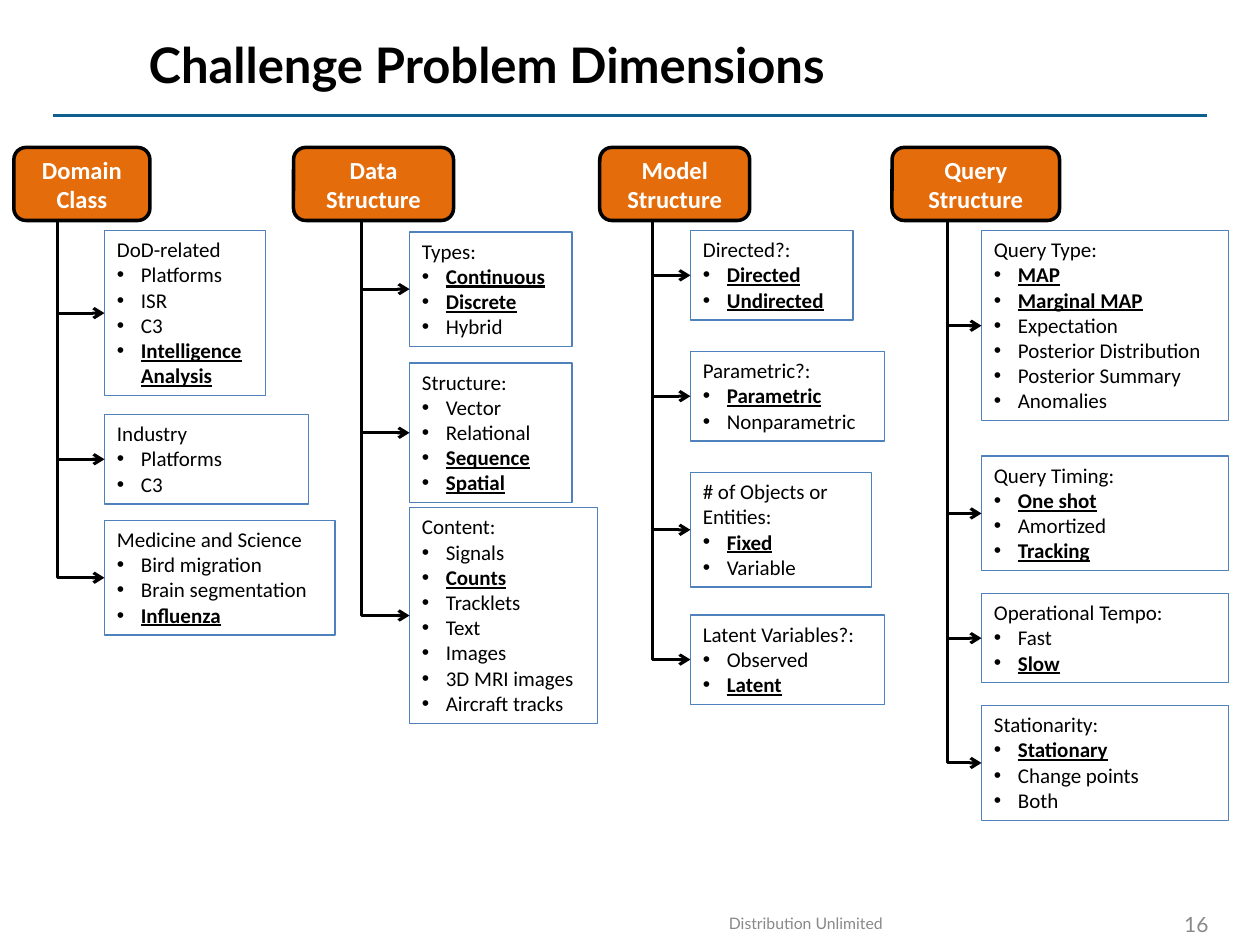
from lxml import etree
from pptx import Presentation
from pptx.dml.color import RGBColor
from pptx.enum import shapes, text
from pptx.oxml.ns import qn
from pptx.util import Inches, Pt

THEME = {
    "heading_font": "Lato", "body_font": "Calibri",
    "title_size": 28, "header_size": 14, "body_size": 12, "footer_size": 9,
    "black": "000000", "white": "FFFFFF", "grey": "898989",
    "orange": "E46C0A", "panel_line": "4F81BD", "rule": "0F5E90",
    "header_width": 2, "panel_width": 0.75, "line_width": 1.75,
}
TITLE = "Challenge Problem Dimensions"
FOOTERS = [
    ("Distribution Unlimited", (4.25, 7.16, 4.29, 0.33), THEME["footer_size"], text.PP_ALIGN.CENTER),
    ("16", (8.86, 7.17, 0.83, 0.32), THEME["body_size"], text.PP_ALIGN.RIGHT),
]
HIGHLIGHTED = {
    "Intelligence Analysis", "Influenza", "Continuous", "Discrete", "Sequence",
    "Spatial", "Counts", "Directed", "Undirected", "Parametric", "Fixed", "Latent",
    "MAP", "Marginal MAP", "One shot", "Tracking", "Slow", "Stationary",
}
# Each panel: heading, items, top, width, number of text lines
COLUMNS = [
    {"header": "Domain Class", "left": 0.11, "width": 1.08, "trunk": 0.46, "panel_left": 0.83, "panels": [
        ("DoD-related", ["Platforms", "ISR", "C3", "Intelligence Analysis"], 1.83, 1.28, 6),
        ("Industry", ["Platforms", "C3"], 3.29, 1.62, 3),
        ("Medicine and Science", ["Bird migration", "Brain segmentation", "Influenza"], 4.13, 1.83, 4),
    ]},
    {"header": "Data Structure", "left": 2.33, "width": 1.27, "trunk": 2.87, "panel_left": 3.25, "panels": [
        ("Types:", ["Continuous", "Discrete", "Hybrid"], 1.84, 1.29, 4),
        ("Structure:", ["Vector", "Relational", "Sequence", "Spatial"], 2.88, 1.29, 5),
        ("Content:", ["Signals", "Counts", "Tracklets", "Text", "Images", "3D MRI images",
                      "Aircraft tracks"], 4.03, 1.49, 8),
    ]},
    {"header": "Model Structure", "left": 4.76, "width": 1.19, "trunk": 5.18, "panel_left": 5.48, "panels": [
        ("Directed?:", ["Directed", "Undirected"], 1.83, 1.29, 3),
        ("Parametric?:", ["Parametric", "Nonparametric"], 2.79, 1.54, 3),
        ("# of Objects or Entities:", ["Fixed", "Variable"], 3.75, 1.44, 4),
        ("Latent Variables?:", ["Observed", "Latent"], 4.88, 1.54, 3),
    ]},
    {"header": "Query Structure", "left": 7.08, "width": 1.33, "trunk": 7.52, "panel_left": 7.79, "panels": [
        ("Query Type:", ["MAP", "Marginal MAP", "Expectation", "Posterior Distribution",
                         "Posterior Summary", "Anomalies"], 1.83, 1.96, 7),
        ("Query Timing:", ["One shot", "Amortized", "Tracking"], 3.62, 1.96, 4),
        ("Operational Tempo:", ["Fast", "Slow"], 4.71, 1.96, 3),
        ("Stationarity:", ["Stationary", "Change points", "Both"], 5.6, 1.96, 4),
    ]},
]
HEADER_TOP, HEADER_HEIGHT = 1.17, 0.58
LINE_HEIGHT, PANEL_PADDING, BULLET_INDENT = 0.2, 0.11, 0.19


def color(name):
    return RGBColor.from_string(THEME[name])


def format_text(paragraph, font_name, size, color_name, bold=False, align=text.PP_ALIGN.LEFT):
    paragraph.alignment = align
    for run in paragraph.runs:
        run.font.name = THEME[font_name]
        run.font.size = Pt(size)
        run.font.color.rgb = color(color_name)
        run.font.bold = bold


def add_bullet(paragraph):
    properties = paragraph._p.get_or_add_pPr()
    properties.set("marL", str(Inches(BULLET_INDENT)))
    properties.set("indent", str(-Inches(BULLET_INDENT)))
    etree.SubElement(properties, qn("a:buFont")).set("typeface", "Arial")
    etree.SubElement(properties, qn("a:buChar")).set("char", "•")


def add_box(slide, kind, place, line_color, line_width, fill=None):
    shape = slide.shapes.add_shape(kind, *map(Inches, place))
    shape.shadow.inherit = False
    if fill:
        shape.fill.solid()
        shape.fill.fore_color.rgb = color(fill)
    else:
        shape.fill.background()
    shape.line.color.rgb = color(line_color)
    shape.line.width = Pt(line_width)
    shape.text_frame.word_wrap = True
    return shape


def add_line(slide, kind, points, color_name):
    connector = slide.shapes.add_connector(kind, *map(Inches, points))
    connector.line.color.rgb = color(color_name)
    connector.line.width = Pt(THEME["line_width"])
    etree.SubElement(connector._element.spPr, qn("a:effectLst"))
    return connector


def add_branch(slide, start_x, start_y, end_x, end_y):
    across, down = end_x - start_x, end_y - start_y
    left = (start_x + end_x - down) / 2
    top = (start_y + end_y - across) / 2
    connector = add_line(slide, shapes.MSO_CONNECTOR.ELBOW,
                         (left, top, left + down, top + across), "black")
    properties = connector._element.spPr
    properties.find(qn("a:prstGeom")).set("prst", "bentConnector2")
    transform = properties.find(qn("a:xfrm"))
    transform.set("rot", str(270 * 60000))
    transform.set("flipH", "1")
    etree.SubElement(properties.find(qn("a:ln")), qn("a:tailEnd")).set("type", "arrow")


def add_panel(slide, heading, items, place):
    panel = add_box(slide, shapes.MSO_SHAPE.RECTANGLE, place, "panel_line", THEME["panel_width"])
    frame = panel.text_frame
    frame.vertical_anchor = text.MSO_ANCHOR.TOP
    frame.auto_size = text.MSO_AUTO_SIZE.SHAPE_TO_FIT_TEXT
    frame.text = "\n".join([heading] + items)
    for index, paragraph in enumerate(frame.paragraphs):
        highlighted = index > 0 and paragraph.text in HIGHLIGHTED
        format_text(paragraph, "body_font", THEME["body_size"], "black", highlighted)
        paragraph.runs[0].font.underline = highlighted
        if index:
            add_bullet(paragraph)


def add_column(slide, column):
    header = add_box(slide, shapes.MSO_SHAPE.ROUNDED_RECTANGLE,
                     (column["left"], HEADER_TOP, column["width"], HEADER_HEIGHT),
                     "black", THEME["header_width"], "orange")
    header.text_frame.text = column["header"]
    header.text_frame.vertical_anchor = text.MSO_ANCHOR.MIDDLE
    format_text(header.text_frame.paragraphs[0], "body_font", THEME["header_size"],
                "white", True, text.PP_ALIGN.CENTER)
    for heading, items, top, width, lines in column["panels"]:
        height = lines * LINE_HEIGHT + PANEL_PADDING
        add_panel(slide, heading, items, (column["panel_left"], top, width, height))
        add_branch(slide, column["trunk"], HEADER_TOP + HEADER_HEIGHT,
                   column["panel_left"], top + height / 2)


def main():
    presentation = Presentation()
    presentation.slide_width, presentation.slide_height = Inches(10), Inches(7.5)
    slide = presentation.slides.add_slide(presentation.slide_layouts[0])
    subtitle = slide.placeholders[1]._element
    subtitle.getparent().remove(subtitle)

    add_line(slide, shapes.MSO_CONNECTOR.STRAIGHT, (0.42, 0.92, 9.58, 0.92), "rule")
    title = slide.shapes.title
    title.left, title.top, title.width, title.height = map(Inches, (1.08, 0.17, 7.58, 0.67))
    title.text_frame.text = TITLE
    title.text_frame.auto_size = text.MSO_AUTO_SIZE.NONE
    title.text_frame.vertical_anchor = text.MSO_ANCHOR.MIDDLE
    format_text(title.text_frame.paragraphs[0], "heading_font", THEME["title_size"], "black", True)

    for words, place, size, align in FOOTERS:
        frame = slide.shapes.add_textbox(*map(Inches, place)).text_frame
        frame.word_wrap = True
        frame.vertical_anchor = text.MSO_ANCHOR.MIDDLE
        frame.text = words
        format_text(frame.paragraphs[0], "heading_font", size, "grey", align=align)

    for column in COLUMNS:
        add_column(slide, column)
    presentation.save("out.pptx")


if __name__ == "__main__":
    main()
